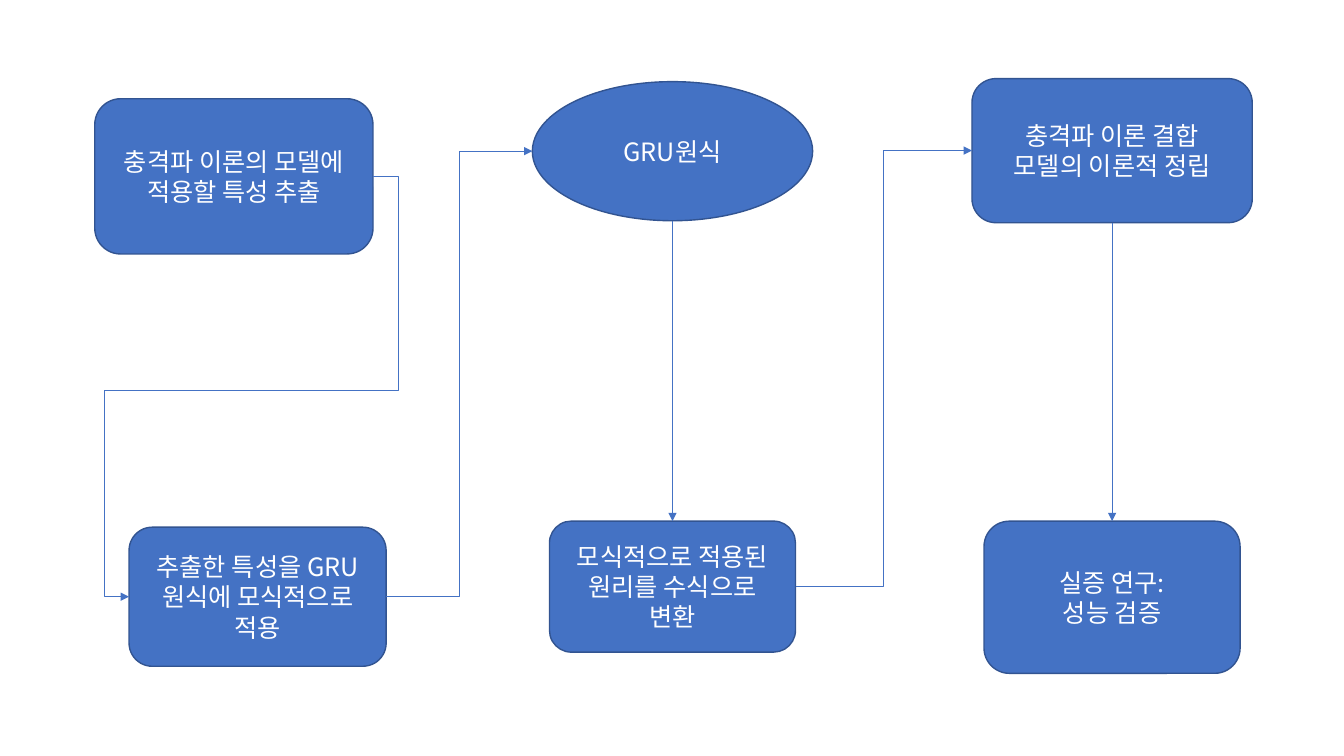
from lxml import etree
from pptx import Presentation
from pptx.dml.color import RGBColor
from pptx.enum.shapes import MSO_CONNECTOR as LINK, MSO_SHAPE as SHAPE
from pptx.enum.text import MSO_ANCHOR, PP_ALIGN
from pptx.oxml.ns import qn
from pptx.util import Inches, Pt

FONT = "Noto Sans CJK KR"
COLORS = {"fill": "4472C4", "outline": "325491", "arrow": "4472C4", "text": "FFFFFF"}
TOP, LEFT, BOTTOM, RIGHT = range(4)

# Research steps: text, shape, (left, top, width, height)
STEPS = {
    "features": ("충격파 이론의 모델에 적용할 특성 추출",
                 SHAPE.ROUNDED_RECTANGLE, (0.94, 0.98, 2.76, 1.54)),
    "gru": ("GRU원식", SHAPE.OVAL, (5.28, 0.81, 2.78, 1.38)),
    "schematic": ("추출한 특성을 GRU원식에 모식적으로 적용",
                  SHAPE.ROUNDED_RECTANGLE, (1.28, 5.23, 2.55, 1.38)),
    "formula": ("모식적으로 적용된 원리를 수식으로 변환",
                SHAPE.ROUNDED_RECTANGLE, (5.45, 5.17, 2.44, 1.3)),
    "theory": ("충격파 이론 결합 모델의 이론적 정립",
               SHAPE.ROUNDED_RECTANGLE, (9.64, 0.78, 2.78, 1.43)),
    "validation": ("실증 연구:\n성능 검증",
                   SHAPE.ROUNDED_RECTANGLE, (9.76, 5.17, 2.54, 1.51)),
}

# Arrows: from step, side, to step, side, bend positions of a five-part elbow
ARROWS = [
    ("features", RIGHT, "schematic", LEFT, (-10300, 51000, 110300)),
    ("schematic", RIGHT, "gru", LEFT, ()),
    ("gru", BOTTOM, "formula", TOP, ()),
    ("formula", RIGHT, "theory", LEFT, ()),
    ("theory", BOTTOM, "validation", TOP, ()),
]


def color(name):
    return RGBColor.from_string(COLORS[name])


def side_middle(step, side):
    left, top, width, height = STEPS[step][2]
    across, down = {TOP: (0.5, 0), LEFT: (0, 0.5), BOTTOM: (0.5, 1), RIGHT: (1, 0.5)}[side]
    return Inches(left + across * width), Inches(top + down * height)


def add_step(slide, text, kind, box):
    step = slide.shapes.add_shape(kind, *map(Inches, box))
    step.shadow.inherit = False
    step.fill.solid()
    step.fill.fore_color.rgb = color("fill")
    step.line.color.rgb = color("outline")
    step.line.width = Pt(1)
    frame = step.text_frame
    frame.word_wrap = True
    frame.vertical_anchor = MSO_ANCHOR.MIDDLE
    frame.text = text
    for paragraph in frame.paragraphs:
        paragraph.alignment = PP_ALIGN.CENTER
        for run in paragraph.runs:
            run.font.size = Pt(18)
            run.font.name = FONT
            run.font.color.rgb = color("text")
            etree.SubElement(run.font._element, qn("a:ea"), typeface=FONT)
    return step


def add_arrow(slide, boxes, start, start_side, end, end_side, bends):
    straight = start_side == BOTTOM
    arrow = slide.shapes.add_connector(
        LINK.STRAIGHT if straight else LINK.ELBOW,
        *side_middle(start, start_side), *side_middle(end, end_side))
    if straight:
        if STEPS[start][1] != SHAPE.OVAL:
            arrow.begin_connect(boxes[start], start_side)
        arrow.end_connect(boxes[end], end_side)
    arrow.line.color.rgb = color("arrow")
    arrow.line.width = Pt(0.5)
    properties = arrow._element.spPr
    etree.SubElement(properties.find(qn("a:ln")), qn("a:tailEnd"), type="triangle")
    etree.SubElement(properties, qn("a:effectLst"))
    # Route around both boxes
    if bends:
        geometry = properties.find(qn("a:prstGeom"))
        geometry.set("prst", "bentConnector5")
        guides = geometry.find(qn("a:avLst"))
        for number, bend in enumerate(bends, 1):
            etree.SubElement(guides, qn("a:gd"), name=f"adj{number}", fmla=f"val {bend}")


def main():
    deck = Presentation()
    deck.slide_width, deck.slide_height = Inches(13.33), Inches(7.5)
    slide = deck.slides.add_slide(deck.slide_layouts[6])
    boxes = {key: add_step(slide, *step) for key, step in STEPS.items()}
    for arrow in ARROWS:
        add_arrow(slide, boxes, *arrow)
    deck.save("out.pptx")


if __name__ == "__main__":
    main()
